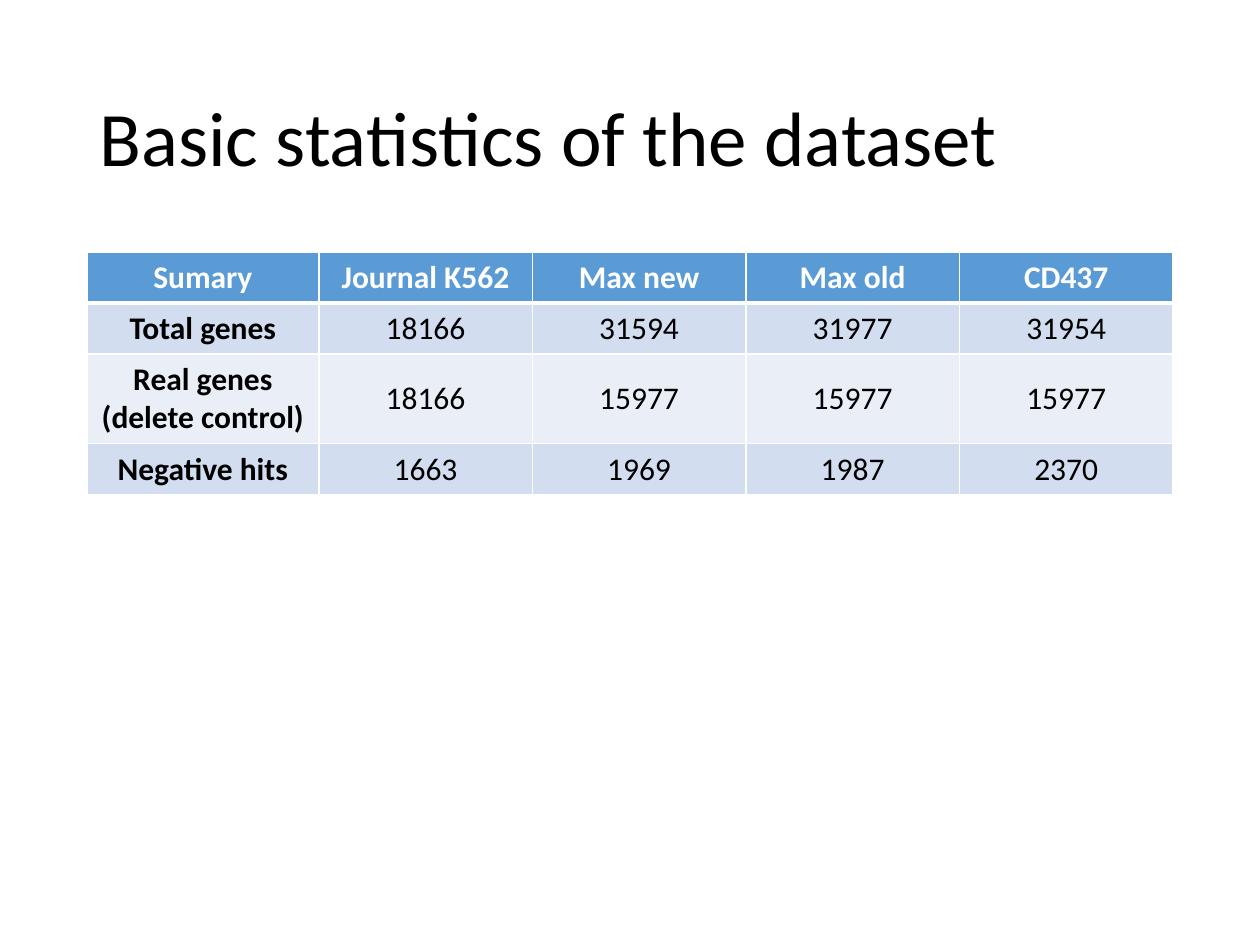
from pptx import Presentation
from pptx.dml.color import RGBColor
from pptx.enum.text import MSO_ANCHOR as Anchor, PP_ALIGN as Align
from pptx.oxml.ns import qn
from pptx.util import Inches, Pt
from lxml.etree import SubElement

# Content
TITLE = "Basic statistics of the dataset"
ROWS = [
    ("Sumary", "Journal K562", "Max new", "Max old", "CD437"),
    ("Total genes", "18166", "31594", "31977", "31954"),
    ("Real genes (delete control)", "18166", "15977", "15977", "15977"),
    ("Negative hits", "1663", "1969", "1987", "2370"),
]

# Layout and colours
LEFT, WIDTH = 0.69, 8.62
FIRST_COL = 1.84
OTHER_COL = (WIDTH - FIRST_COL) / 4
COL_WIDTHS = [FIRST_COL] + [OTHER_COL] * 4
ROW_HEIGHTS = [0.4, 0.4, 0.71, 0.4]
HEADER, BANDS = "5B9BD5", ("EAEFF7", "D2DEEF")
WHITE, BLACK = "FFFFFF", "000000"


def rgb(value):
    return RGBColor.from_string(value)


def add_run(p, text, size, color, bold=False):
    r = p.add_run()
    r.text = text
    r.font.name = "Calibri"
    r.font.size = Pt(size)
    r.font.bold = bold
    r.font.color.rgb = rgb(color)


def set_borders(cell, widths):
    tcPr = cell._tc.get_or_add_tcPr()
    for i, (side, width) in enumerate(widths.items()):
        ln = SubElement(tcPr, qn(f"a:ln{side}"), w=str(Pt(width)))
        fill = SubElement(ln, qn("a:solidFill"))
        SubElement(fill, qn("a:srgbClr"), val=WHITE)
        tcPr.insert(i, ln)  # borders come before the cell fill


prs = Presentation()
prs.slide_width, prs.slide_height = Inches(10), Inches(7.5)
s = prs.slides.add_slide(prs.slide_layouts[5])

# Title
title = s.shapes.title
title.left, title.top = Inches(LEFT), Inches(0.4)
title.width, title.height = Inches(WIDTH), Inches(1.45)
tf = title.text_frame
tf.vertical_anchor = Anchor.MIDDLE
p = tf.paragraphs[0]
p.alignment = Align.LEFT
p.line_spacing = 0.9
add_run(p, TITLE, 44, BLACK)

# Table
table = s.shapes.add_table(len(ROWS), len(COL_WIDTHS), Inches(LEFT), Inches(2),
                           Inches(WIDTH), Inches(sum(ROW_HEIGHTS))).table
for column, width in zip(table.columns, COL_WIDTHS):
    column.width = Inches(width)
for row, height in zip(table.rows, ROW_HEIGHTS):
    row.height = Inches(height)

for i, values in enumerate(ROWS):
    for j, text in enumerate(values):
        cell = table.cell(i, j)
        cell.fill.solid()
        cell.fill.fore_color.rgb = rgb(BANDS[i % 2] if i else HEADER)
        cell.vertical_anchor = Anchor.MIDDLE if j else Anchor.TOP
        set_borders(cell, {"L": 1, "R": 1, "T": 3 if i == 1 else 1,
                           "B": 1 if i else 3})
        p = cell.text_frame.paragraphs[0]
        p.alignment = Align.CENTER
        add_run(p, text, 18, BLACK if i else WHITE, bold=i == 0 or j == 0)

prs.save("out.pptx")
